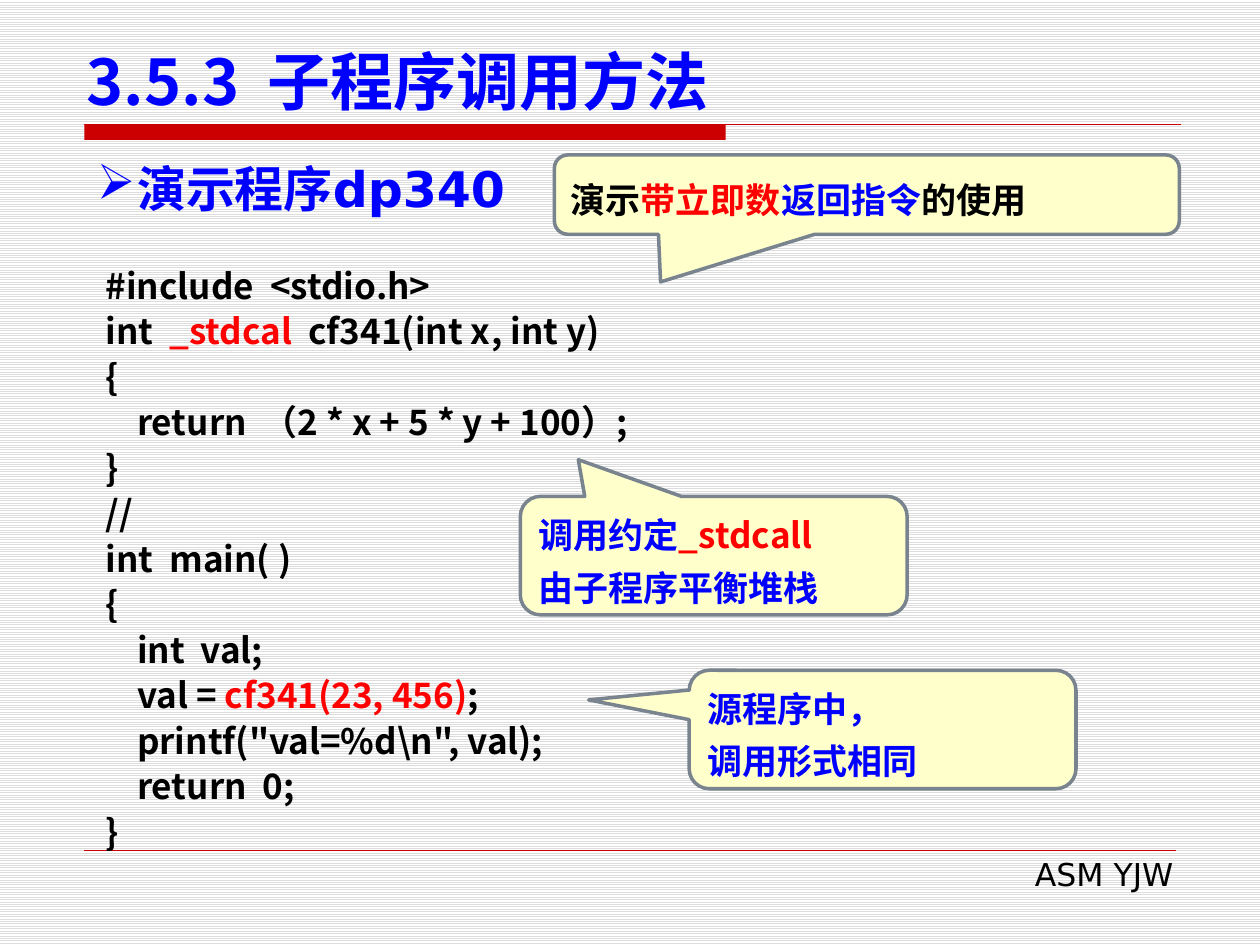
"""Build the slide on calling a subroutine that balances its own stack."""
from lxml.etree import SubElement
from pptx import Presentation
from pptx.dml.color import RGBColor
from pptx.enum.dml import MSO_PATTERN
from pptx.enum.shapes import MSO_CONNECTOR, MSO_SHAPE
from pptx.enum.text import MSO_ANCHOR, PP_ALIGN
from pptx.oxml.ns import qn
from pptx.util import Inches, Pt

COLORS = {"black": "000000", "blue": "0000FF", "red": "FF0000", "bar": "CC0000",
          "note": "FFFFCC", "edge": "79848F", "stripe": "DDDDDD", "white": "FFFFFF"}
SANS, CJK = "DejaVu Sans", "Noto Sans CJK SC"
STEP = 0.25

TITLE = [[("3.5.3  子程序调用方法", "blue")]]
TOPIC = [[("演示程序dp340", "blue")]]
FOOTER = [[("ASM YJW", "black")]]
CODE = [
    (0, [("#include  <stdio.h>", "black")]),
    (0, [("int  ", "black"), ("_stdcal", "red"), ("  cf341(int x, int y)", "black")]),
    (0, [("{", "black")]),
    (1, [("return  （2 * x + 5 * y + 100）;", "black")]),
    (0, [("}", "black")]),
    (0, [("//", "black")]),
    (0, [("int  main( )", "black")]),
    (0, [("{", "black")]),
    (1, [("int  val;", "black")]),
    (1, [("val = ", "black"), ("cf341(23, 456)", "red"), (";", "black")]),
    (1, [('printf("val=%d\\n", val);', "black")]),
    (1, [("return  0;", "black")]),
    (0, [("}", "black")]),
]
NOTES = [
    ((4.4, 1.23, 4.96, 0.63), (-0.33, 1.1, 0.17),
     [[("演示", "black"), ("带立即数", "red"), ("返回指令", "blue"), ("的使用", "black")]]),
    ((4.13, 3.94, 3.07, 0.94), (-0.35, -0.81, 0.17),
     [[("调用约定", "blue"), ("_stdcall", "red")], [("由子程序平衡堆栈", "blue")]]),
    ((5.47, 5.32, 3.07, 0.94), (-0.76, -0.25, 0.17),
     [[("源程序中，", "blue")], [("调用形式相同", "blue")]]),
]
RULES = [(0.99, 9.37, 0.75), (6.75, 9.33, 0.25)]


def rgb(name):
    return RGBColor.from_string(COLORS[name])


def write(frame, paras, size, face=CJK, bold=True, **style):
    frame.word_wrap = True
    for i, runs in enumerate(paras):
        para = frame.paragraphs[0] if i == 0 else frame.add_paragraph()
        for key, value in ({"alignment": PP_ALIGN.LEFT} | style).items():
            setattr(para, key, value)
        for text, color in runs:
            run = para.add_run()
            run.text = text
            for key, value in {"size": Pt(size), "bold": bold, "name": face}.items():
                setattr(run.font, key, value)
            run.font.color.rgb = rgb(color)
            SubElement(run.font._element, qn("a:ea"), typeface=CJK)


def add_text(slide, box, paras, size, anchor=MSO_ANCHOR.TOP, **style):
    frame = slide.shapes.add_textbox(*map(Inches, box)).text_frame
    frame.vertical_anchor = anchor
    write(frame, paras, size, **style)
    return frame.paragraphs


def indent(para, left, first=0):
    props = para._p.get_or_add_pPr()
    props.set("marL", str(Inches(left)))
    props.set("indent", str(Inches(first)))
    return props


def add_rule(slide, y, right, width):
    rule = slide.shapes.add_connector(
        MSO_CONNECTOR.STRAIGHT, *map(Inches, (0.67, y, right, y)))
    rule.line.color.rgb = rgb("bar")
    rule.line.width = Pt(width)
    SubElement(rule._element.spPr, qn("a:effectLst"))


def add_shape(slide, kind, box, fill):
    shape = slide.shapes.add_shape(kind, *map(Inches, box))
    shape.shadow.inherit = False
    shape.fill.solid()
    shape.fill.fore_color.rgb = rgb(fill)
    return shape


def add_note(slide, box, tail, paras):
    note = add_shape(slide, MSO_SHAPE.ROUNDED_RECTANGULAR_CALLOUT, box, "note")
    note.line.color.rgb = rgb("edge")
    note.line.width = Pt(2)
    for i, value in enumerate(tail):
        note.adjustments[i] = value
    note.text_frame.vertical_anchor = MSO_ANCHOR.MIDDLE
    write(note.text_frame, paras, 20, line_spacing=Pt(30))


def main():
    deck = Presentation()
    deck.slide_width, deck.slide_height = Inches(10), Inches(7.5)
    slide = deck.slides.add_slide(deck.slide_layouts[6])
    back = slide.background.fill
    back.patterned()
    back.pattern = MSO_PATTERN.LIGHT_HORIZONTAL
    back.fore_color.rgb, back.back_color.rgb = rgb("stripe"), rgb("white")

    bar = add_shape(slide, MSO_SHAPE.RECTANGLE, (0.67, 0.99, 5.09, 0.12), "bar")
    bar.line.fill.background()
    for rule in RULES:
        add_rule(slide, *rule)

    add_text(slide, (3.82, 6.74, 5.59, 0.4), FOOTER, 18, face=SANS, bold=False,
             alignment=PP_ALIGN.RIGHT)
    add_text(slide, (0.59, 0.28, 9.06, 0.71), TITLE, 36, MSO_ANCHOR.BOTTOM)
    topic = add_text(slide, (0.67, 1.21, 8.66, 0.57), TOPIC, 28, face=SANS,
                     alignment=PP_ALIGN.JUSTIFY)
    SubElement(indent(topic[0], 0.32, -0.32), qn("a:buChar"), char="➢")

    lines = add_text(slide, (0.74, 2.02, 8.67, 4.8), [runs for _, runs in CODE], 20,
                     line_spacing=Pt(26))
    for para, (level, _) in zip(lines, CODE):
        indent(para, level * STEP)
    for note in NOTES:
        add_note(slide, *note)
    deck.save("out.pptx")


if __name__ == "__main__":
    main()
